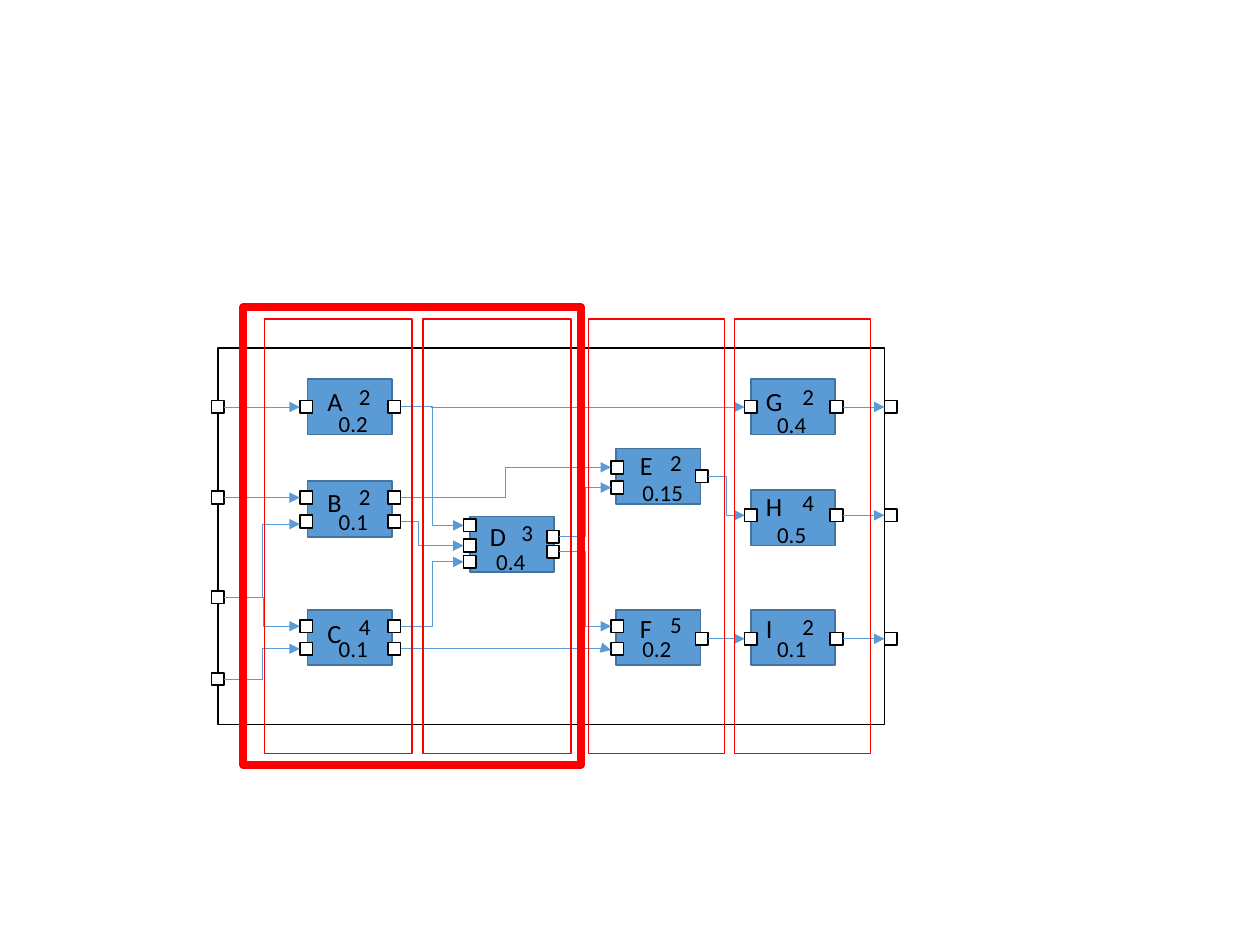
import pptx
import pptx.util
import pptx.dml.color
import pptx.enum.dml
import pptx.enum.shapes
import pptx.oxml
import pptx.oxml.ns

RGBColor = pptx.dml.color.RGBColor
BLACK = RGBColor(0x00, 0x00, 0x00)
WHITE = RGBColor(0xFF, 0xFF, 0xFF)
RED = RGBColor(0xFF, 0x00, 0x00)
BLUE = RGBColor(0x5B, 0x9B, 0xD5)
DARK_BLUE = RGBColor(0x43, 0x73, 0x9E)

BLOCK_WIDTH, BLOCK_HEIGHT, PORT = 0.67, 0.44, 0.1
FRAME = (1.73, 2.76, 5.29, 2.99)
NAME_SIZE, VALUE_SIZE = 15, 13.1

# Columns: block left, input port left, output port left,
# then label offsets for name, count and share
COLUMNS = [
    (2.44, 2.38, 3.08, (0.06, 0.31, 0.15)),
    (3.73, 3.68, 4.34, (0.06, 0.31, 0.11)),
    (4.89, 4.85, 5.52, (0.09, 0.33, 0.11)),
    (5.96, 5.91, 6.59, (0.02, 0.31, 0.11)),
]

# Blocks: column, top, labels, label offsets down, input tops, output tops
BLOCKS = {
    "A": (0, 3.01, ("2", "0.2"), (0, -0.02, 0.19), [3.18], [3.18]),
    "B": (0, 3.82, ("2", "0.1"), (-0.01, -0.04, 0.16), [3.9, 4.09], [3.9, 4.09]),
    "C": (0, 4.84, ("4", "0.1"), (0.01, -0.03, 0.15), [4.92, 5.1], [4.92, 5.1]),
    "D": (1, 4.1, ("3", "0.4"), (-0.02, -0.03, 0.2), [4.12, 4.28, 4.41], [4.21, 4.33]),
    "E": (2, 3.56, ("2", "0.15"), (-0.04, -0.05, 0.19), [3.66, 3.82], [3.73]),
    "F": (2, 4.84, ("5", "0.2"), (-0.03, -0.04, 0.15), [4.92, 5.1], [5.02]),
    "G": (3, 3.01, ("2", "0.4"), (0, -0.02, 0.2), [3.18], [3.18]),
    "H": (3, 3.89, ("4", "0.5"), (-0.05, -0.06, 0.19), [4.04], [4.04]),
    "I": (3, 4.84, ("2", "0.1"), (-0.03, -0.03, 0.15), [5.02], [5.02]),
}

# Ports on the frame
ENTRY_TOPS = [3.18, 3.9, 4.69, 5.34]
EXIT_TOPS = [3.18, 4.04, 5.02]

# Wires: source port or branch point, target port, bend share (None is straight)
WIRES = [
    ("entry1", "A.in1", None), ("entry2", "B.in1", 0.5),
    ("entry3", "B.in2", 0.5), ((2.08, 4.74), "C.in1", 0.04),
    ("entry4", "C.in2", 0.5), ("A.out1", "D.in1", 0.5),
    ((3.42, 3.23), "G.in1", None), ("B.out1", "E.in1", 0.5),
    ("C.out1", "D.in3", 0.5), ("B.out2", "D.in2", 0.29),
    ("D.out1", "E.in2", 0.5), ("D.out2", "F.in1", 0.5),
    ("C.out2", "F.in2", 1.01), ("E.out1", "H.in1", 0.5),
    ("G.out1", "exit1", None), ("H.out1", "exit2", None),
    ("I.out1", "exit3", None), ("F.out1", "I.in1", None),
]
ARRIVAL_SHIFT = {"B.in2": 0.02, "F.in2": 0.01}

# Stages: left, top, width, height, line width
STAGES = [
    (3.36, 2.53, 1.17, 3.45, 1), (2.1, 2.53, 1.17, 3.45, 1),
    (5.83, 2.53, 1.08, 3.45, 1), (4.67, 2.53, 1.08, 3.45, 1),
    (1.93, 2.44, 2.68, 3.63, 4.5),
]

inch = pptx.util.Inches
deck = pptx.Presentation()
deck.slide_width, deck.slide_height = inch(10), inch(7.5)
page = deck.slides.add_slide(deck.slide_layouts[6])


def add_box(left, top, width, height, line, fill=None, weight=1):
    box = page.shapes.add_shape(
        pptx.enum.shapes.MSO_SHAPE.RECTANGLE,
        inch(left), inch(top), inch(width), inch(height))
    box.shadow.inherit = False
    if fill is None:
        box.fill.background()
    else:
        box.fill.solid()
        box.fill.fore_color.rgb = fill
    box.line.color.rgb = line
    box.line.width = pptx.util.Pt(weight)


def add_label(text, left, top, width, height, size):
    box = page.shapes.add_textbox(inch(left), inch(top), inch(width), inch(height))
    box.text_frame.word_wrap = True
    span = box.text_frame.paragraphs[0].add_run()
    span.text = text
    for key, value in {"name": "Calibri", "size": pptx.util.Pt(size)}.items():
        setattr(span.font, key, value)
    span.font.color.rgb = BLACK


def add_wire(start, end, bend):
    kinds = pptx.enum.shapes.MSO_CONNECTOR
    wire = page.shapes.add_connector(
        kinds.STRAIGHT if bend is None else kinds.ELBOW,
        *[inch(length) for length in start + end])
    wire.line.color.rgb = BLUE
    wire.line.width = pptx.util.Pt(0.5)
    properties = wire._element.spPr
    qn, make = pptx.oxml.ns.qn, pptx.oxml.xmlchemy.OxmlElement
    arrow = make("a:tailEnd")
    arrow.set("type", "triangle")
    properties.find(qn("a:ln")).append(arrow)
    properties.append(make("a:effectLst"))
    if bend is not None:
        guide = make("a:gd")
        guide.set("name", "adj1")
        guide.set("fmla", f"val {round(bend * 100000)}")
        properties.find(qn("a:prstGeom")).get_or_add_avLst().append(guide)


# Work out where each port goes
ports = {}
for number, top in enumerate(ENTRY_TOPS, 1):
    ports[f"entry{number}"] = (FRAME[0] - PORT / 2, top)
for number, top in enumerate(EXIT_TOPS, 1):
    ports[f"exit{number}"] = (FRAME[0] + FRAME[2], top)
for name, (column, _, _, _, inputs, outputs) in BLOCKS.items():
    _, input_left, output_left, _ = COLUMNS[column]
    for side, left, tops in (("in", input_left, inputs), ("out", output_left, outputs)):
        for number, top in enumerate(tops, 1):
            ports[f"{name}.{side}{number}"] = (left, top)

# Frame, blocks and ports
add_box(*FRAME, BLACK)
for column, top, *_ in BLOCKS.values():
    add_box(COLUMNS[column][0], top, BLOCK_WIDTH, BLOCK_HEIGHT, DARK_BLUE, BLUE)
for left, top in ports.values():
    add_box(left, top, PORT, PORT, BLACK, WHITE)

# Wires run from the right side of a port to the left side of the next
for source, target, bend in WIRES:
    if isinstance(source, str):
        left, top = ports[source]
        source = (left + PORT, top + PORT / 2)
    left, top = ports[target]
    add_wire(source, (left, top + PORT / 2 + ARRIVAL_SHIFT.get(target, 0)), bend)

# Block labels
for name, (column, top, (count, share), downs, _, _) in BLOCKS.items():
    left, _, _, rights = COLUMNS[column]
    formats = [
        (name, 0.31, 0.35, NAME_SIZE),
        (count, 0.36, 0.32, VALUE_SIZE),
        (share, 0.26 + 0.08 * len(share), 0.32, VALUE_SIZE),
    ]
    for (text, width, height, size), right, down in zip(formats, rights, downs):
        add_label(text, left + right, top + down, width, height, size)

# Stage outlines
for *place, weight in STAGES:
    add_box(*place, RED, weight=weight)

deck.save("out.pptx")
